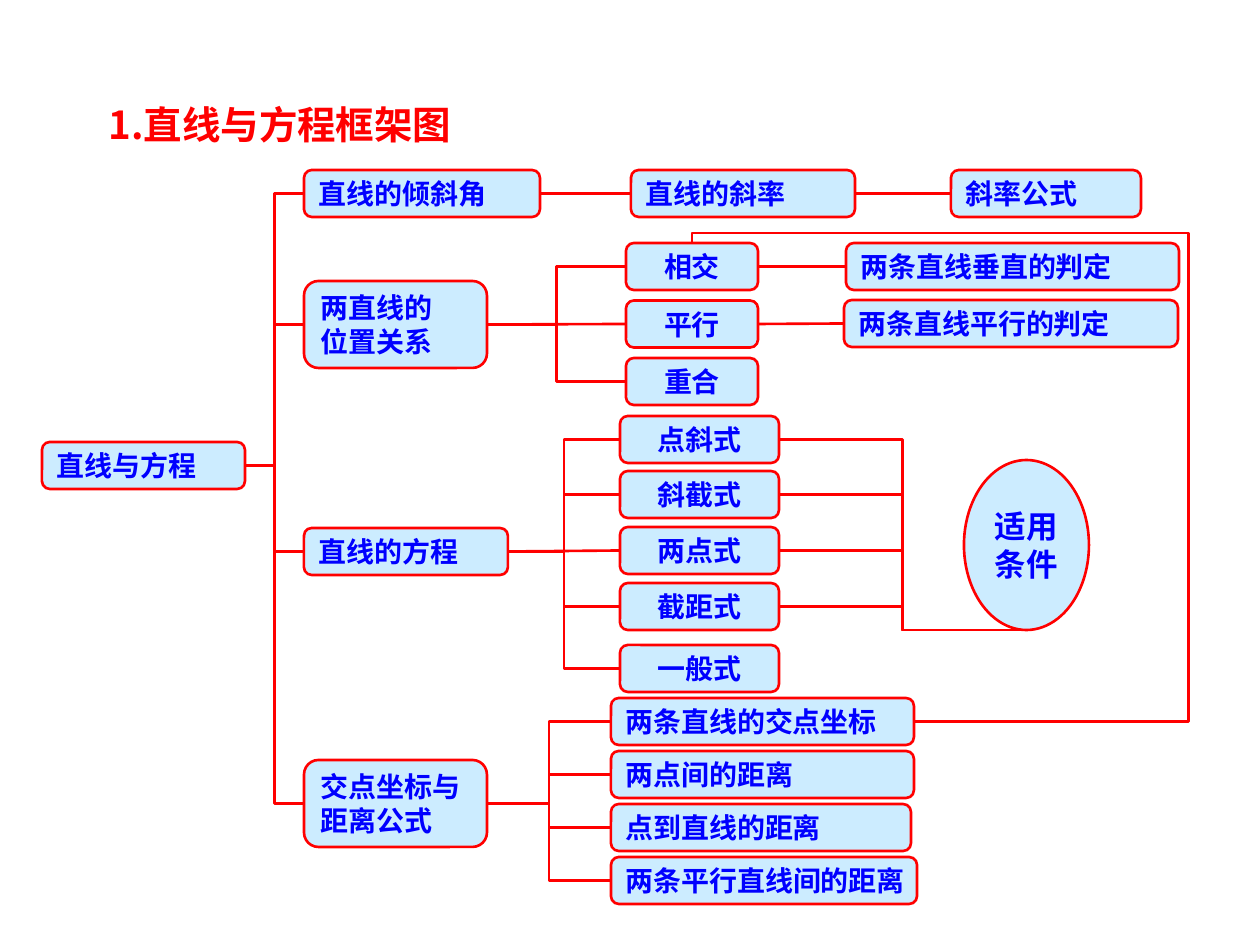
from lxml import etree
from pptx import Presentation
from pptx.dml.color import RGBColor
from pptx.enum.shapes import MSO_CONNECTOR, MSO_SHAPE
from pptx.enum.text import MSO_ANCHOR, PP_ALIGN
from pptx.oxml.ns import qn
from pptx.util import Pt

ROUNDED, OVAL = MSO_SHAPE.ROUNDED_RECTANGLE, MSO_SHAPE.OVAL
STRAIGHT, ELBOW = MSO_CONNECTOR.STRAIGHT, MSO_CONNECTOR.ELBOW
LEFT, CENTER = PP_ALIGN.LEFT, PP_ALIGN.CENTER
TOP, MIDDLE = MSO_ANCHOR.TOP, MSO_ANCHOR.MIDDLE
TOP_SITE, LEFT_SITE, RIGHT_SITE = 0, 1, 3
OVAL_LEFT_SITE = 2
PX = 914400 / 126
RED, BLUE, PALE = "FF0000", "0000FF", "CCECFF"


def px(*lengths):
    return [round(length * PX) for length in lengths]


def color(hex_text):
    return RGBColor.from_string(hex_text)


deck = Presentation()
deck.slide_width, deck.slide_height = px(1260, 945)
page = deck.slides.add_slide(deck.slide_layouts[5])

title = page.shapes.title
title.left, title.top, title.width, title.height = px(96, 76, 1043, 78)
title.text_frame.text = "1.直线与方程框架图"
title.text_frame.vertical_anchor = TOP
para = title.text_frame.paragraphs[0]
para.alignment = LEFT
para.line_spacing = 1.4
para.font.name = "Noto Sans CJK SC"
para.font.size = Pt(22)
para.font.bold = True
para.font.color.rgb = color(RED)

nodes = [
    ("直线与方程", 42, 442, 203, 47, LEFT),
    ("直线的倾斜角", 304, 170, 236, 47, LEFT),
    ("直线的斜率", 631, 170, 224, 47, LEFT),
    ("斜率公式", 951, 170, 190, 47, LEFT),
    ("两直线的\n位置关系", 304, 281, 183, 87, LEFT),
    ("两条直线垂直的判定", 846, 243, 333, 47, LEFT),
    ("两条直线平行的判定", 844, 300, 334, 47, LEFT),
    ("直线的方程", 304, 528, 204, 47, LEFT),
    ("交点坐标与\n距离公式", 304, 760, 183, 87, LEFT),
    ("适用\n条件", 964, 460, 125, 170, LEFT),
]
relations = ["相交", "平行", "重合"]
for row, text in enumerate(relations):
    nodes.append((text, 626, 243 + 57.5 * row, 132, 47, CENTER))
forms = ["点斜式", "斜截式", "两点式", "截距式", "一般式"]
for text, top in zip(forms, [416, 471, 527, 583, 645]):
    nodes.append((text, 620, top, 159, 47, CENTER))
distances = ["两条直线的交点坐标", "两点间的距离", "点到直线的距离", "两条平行直线间的距离"]
for row, (text, width) in enumerate(zip(distances, [303, 303, 300, 306])):
    nodes.append((text, 611, 698 + 53 * row, width, 47, LEFT))

boxes = {}
for text, left, top, width, height, alignment in nodes:
    oval = text.startswith("适用")
    box = page.shapes.add_shape(OVAL if oval else ROUNDED, *px(left, top, width, height))
    box.shadow.inherit = False
    box.fill.solid()
    box.fill.fore_color.rgb = color(PALE)
    box.line.color.rgb = color(RED)
    box.line.width = Pt(1.5)
    frame = box.text_frame
    frame.word_wrap = False
    frame.vertical_anchor = MIDDLE
    frame.text = text
    for para in frame.paragraphs:
        para.alignment = alignment
        para.font.name = "Arial"
        para.font.size = Pt(18 if oval else 16)
        para.font.bold = True
        para.font.color.rgb = color(BLUE)
    boxes[text.replace("\n", "")] = box

branches = {
    "直线与方程": ["直线的倾斜角", "两直线的位置关系", "直线的方程", "交点坐标与距离公式"],
    "两直线的位置关系": relations,
    "直线的方程": forms,
    "交点坐标与距离公式": distances,
}
links = [
    (ELBOW, parent, RIGHT_SITE, child, LEFT_SITE)
    for parent, children in branches.items()
    for child in children
    if child not in ("平行", "两点式")
]
links += [(ELBOW, "适用条件", OVAL_LEFT_SITE, form, RIGHT_SITE) for form in forms[:4]]
links += [
    (STRAIGHT, start, RIGHT_SITE, end, LEFT_SITE)
    for start, end in [
        ("直线的倾斜角", "直线的斜率"),
        ("直线的斜率", "斜率公式"),
        ("两直线的位置关系", "平行"),
        ("直线的方程", "两点式"),
        ("相交", "两条直线垂直的判定"),
        ("平行", "两条直线平行的判定"),
    ]
]
links.append((ELBOW, "两条直线的交点坐标", RIGHT_SITE, "相交", TOP_SITE))

for kind, start, start_site, end, end_site in links:
    link = page.shapes.add_connector(kind, 0, 0, 0, 0)
    link.begin_connect(boxes[start], start_site)
    link.end_connect(boxes[end], end_site)
    link.line.color.rgb = color(RED)
    link.line.width = Pt(1.5)
    properties = link._element.spPr
    etree.SubElement(properties, qn("a:effectLst"))
    if end_site == TOP_SITE:
        geometry = properties.find(qn("a:prstGeom"))
        geometry.set("prst", "bentConnector4")
        guides = geometry.get_or_add_avLst()
        for name, value in [("adj1", -123800), ("adj2", 102100)]:
            etree.SubElement(guides, qn("a:gd"), name=name, fmla=f"val {value}")

deck.save("out.pptx")
